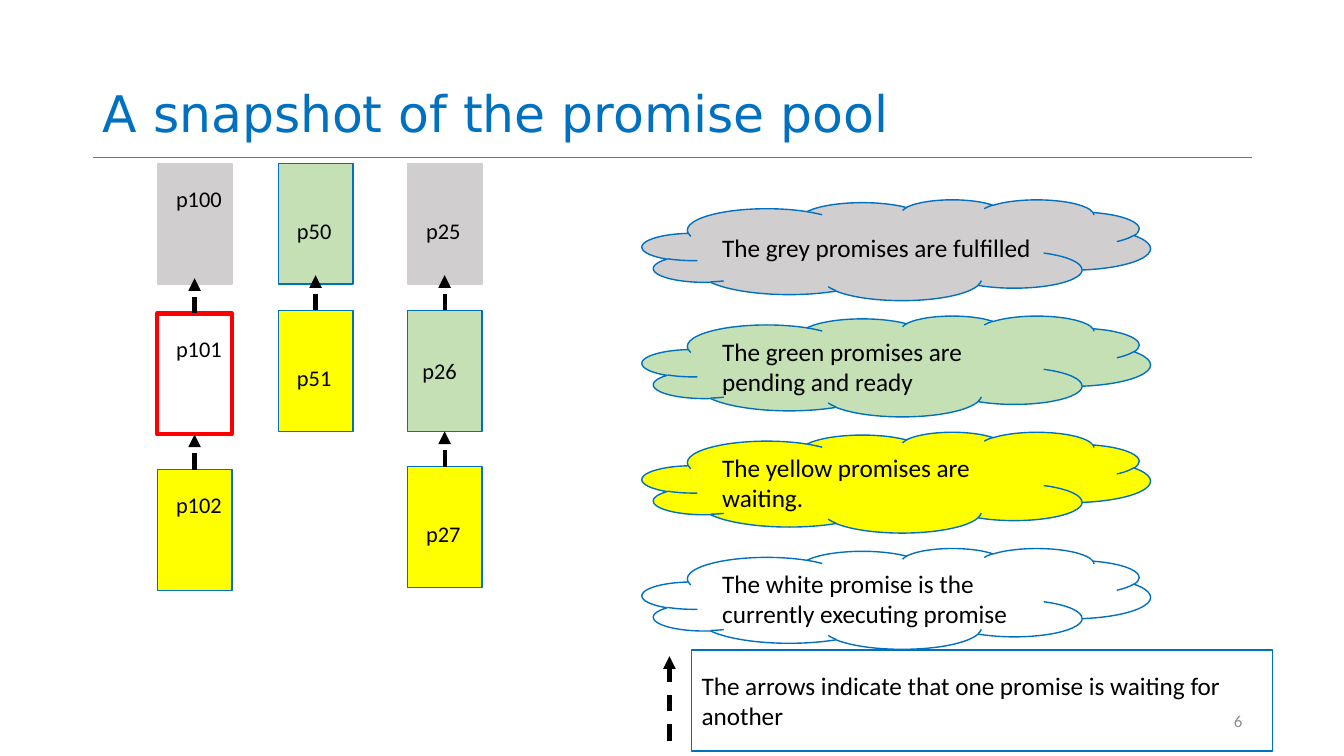
from lxml import etree
from pptx import Presentation
from pptx.dml.color import RGBColor
from pptx.enum.dml import MSO_LINE
from pptx.enum.shapes import MSO_CONNECTOR, MSO_SHAPE
from pptx.enum.text import MSO_ANCHOR, PP_ALIGN
from pptx.oxml.ns import qn
from pptx.util import Inches, Pt

RECT, CLOUD = MSO_SHAPE.RECTANGLE, MSO_SHAPE.CLOUD
STRAIGHT, DASH = MSO_CONNECTOR.STRAIGHT, MSO_LINE.DASH
TOP, MIDDLE, BOTTOM = MSO_ANCHOR.TOP, MSO_ANCHOR.MIDDLE, MSO_ANCHOR.BOTTOM
LEFT, RIGHT = PP_ALIGN.LEFT, PP_ALIGN.RIGHT

COLORS = {
    "blue": "0070C0", "rule": "767676", "grey": "D0CECE", "green": "C5E0B4",
    "yellow": "FFFF00", "white": "FFFFFF", "red": "FF0000",
    "black": "000000", "number": "8C8C8C",
}
FRAME = {
    "word_wrap": True,
    "margin_left": Inches(0.1), "margin_right": Inches(0.1),
    "margin_top": Inches(0.05), "margin_bottom": Inches(0.05),
}
POOL = [
    (0, [("p100", 0, "grey", "grey", TOP),
         ("p101", 1.49, "white", "red", TOP),
         ("p102", 3.04, "yellow", "blue", TOP)]),
    (1.2, [("p50", 0, "green", "blue", MIDDLE),
           ("p51", 1.46, "yellow", "blue", MIDDLE)]),
    (2.48, [("p25", 0, "grey", "grey", MIDDLE),
            ("p26", 1.46, "green", "blue", MIDDLE),
            ("p27", 3.01, "yellow", "blue", MIDDLE)]),
]
CLOUDS = [
    ("The grey promises are fulfilled", "grey", MIDDLE),
    ("The green promises are pending and ready", "green", TOP),
    ("The yellow promises are waiting.", "yellow", TOP),
    ("The white promise is the currently executing promise", "white", TOP),
]


def rgb(name):
    """Return the named colour."""
    return RGBColor.from_string(COLORS[name])


def apply(item, values):
    """Set every attribute in values on item."""
    for key, value in values.items():
        setattr(item, key, value)


def write(shape, runs, anchor=MIDDLE, align=LEFT, color="black",
          font="Calibri", space=1.0):
    """Fill a shape with one paragraph of (text, size) runs."""
    frame = shape.text_frame
    apply(frame, {**FRAME, "vertical_anchor": anchor})
    para = frame.paragraphs[0]
    apply(para, {"alignment": align, "line_spacing": space})
    for text, size in runs:
        run = para.add_run()
        run.text = text
        apply(run.font, {"size": Pt(size), "name": font})
        run.font.color.rgb = rgb(color)


def block(slide, kind, box, fill, edge, width=1):
    """Add a flat shape, left hollow when fill is None."""
    shape = slide.shapes.add_shape(kind, *map(Inches, box))
    shape.shadow.inherit = False
    if fill:
        shape.fill.solid()
        shape.fill.fore_color.rgb = rgb(fill)
    else:
        shape.fill.background()
    shape.line.color.rgb = rgb(edge)
    shape.line.width = Pt(width)
    return shape


def line(slide, start, end, color, width):
    """Add a straight line without a shadow."""
    link = slide.shapes.add_connector(STRAIGHT, *map(Inches, start + end))
    link.line.color.rgb = rgb(color)
    link.line.width = Pt(width)
    etree.SubElement(link._element.spPr, qn("a:effectLst"))
    return link


def arrow(slide, x, y, size):
    """Add a dashed arrow that rises from x, y."""
    link = line(slide, (x, y), (x, y - size), "black", 3)
    link.line.dash_style = DASH
    tail = etree.SubElement(link.line._get_or_add_ln(), qn("a:tailEnd"))
    tail.set("type", "triangle")


def header(slide, x, y, w, h):
    """Place the title, its rule and the slide number."""
    line(slide, (x, y + h + 0.09), (x + w, y + h + 0.09), "rule", 0.5)
    title = slide.shapes.add_textbox(*map(Inches, (x, y, w, h)))
    write(title, [("A snapshot of the promise pool", 36)], BOTTOM,
          color="blue", font="DejaVu Sans", space=0.9)
    spot = (x + w - 3, y + 6.93, 3, 0.4)
    number = slide.shapes.add_textbox(*map(Inches, spot))
    write(number, [("6", 12)], align=RIGHT, color="number")


def pool(slide, x, y, w, h):
    """Place the columns of promises and the arrows between them."""
    for dx, column in POOL:
        for name, dy, fill, edge, anchor in column:
            width = 3 if edge == "red" else 1
            card = block(slide, RECT, (x + dx, y + dy, w, h), fill, edge, width)
            gap = 16 if name == "p26" else 28
            write(card, [(" ", gap), (name, 16)], anchor)
        for _, dy, *_ in column[1:]:
            arrow(slide, x + dx + w / 2, y + dy, 0.35)


def legend(slide, x, y, w, h):
    """Place the clouds and the note on what the arrows mean."""
    for row, (text, fill, anchor) in enumerate(CLOUDS):
        cloud = block(slide, CLOUD, (x, y + row * 1.153, w, h), fill, "blue")
        write(cloud, [(text, 18)], anchor)
    arrow(slide, x + 0.27, y + 5.37, 0.84)
    note = block(slide, RECT, (x + 0.49, y + 4.47, 5.76, h), None, "blue")
    write(note, [("The arrows indicate that one promise is waiting for another", 18)])


def main():
    """Build the slide and save it."""
    deck = Presentation()
    apply(deck, {"slide_width": Inches(13.33), "slide_height": Inches(7.5)})
    slide = deck.slides.add_slide(deck.slide_layouts[6])
    header(slide, 0.92, 0.02, 11.5, 1.45)
    pool(slide, 1.56, 1.62, 0.74, 1.2)
    legend(slide, 6.37, 1.98, 5.04, 1)
    deck.save("out.pptx")


if __name__ == "__main__":
    main()
